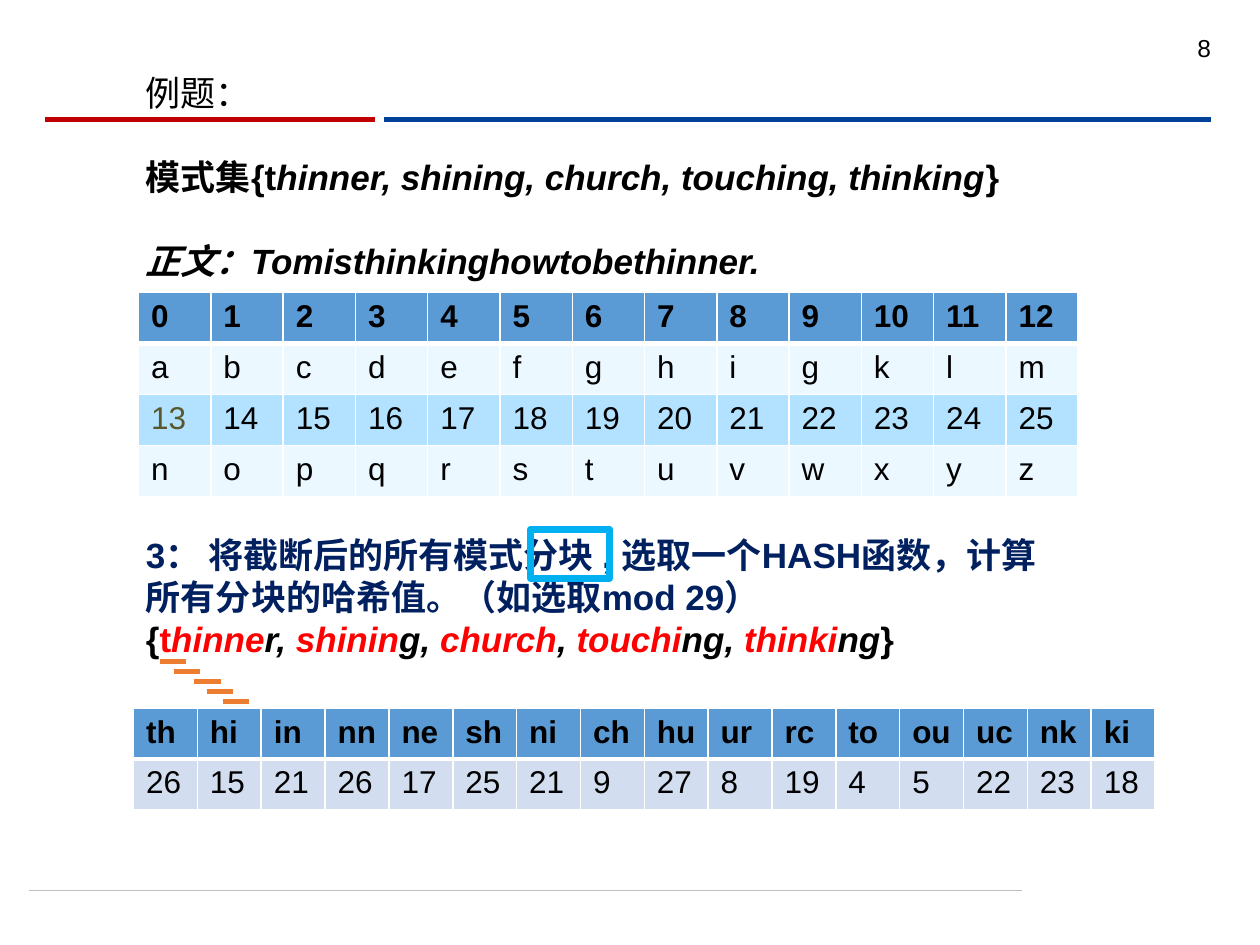
from lxml.etree import SubElement
from pptx import Presentation
from pptx.dml.color import RGBColor
from pptx.enum.shapes import MSO_CONNECTOR, MSO_SHAPE
from pptx.enum.text import PP_ALIGN
from pptx.oxml.ns import qn
from pptx.util import Inches, Pt

BLACK, WHITE, RED, NAVY = "000000", "FFFFFF", "FF0000", "002060"
HEAD, PALE, SKY, GREY = "5B9BD5", "ECF8FF", "B2E2FF", "D2DEEF"


def color(code):
    return RGBColor.from_string(code)


def write(par, text, size=20, ink=BLACK, bold=False, italic=False):
    run = par.add_run()
    run.text = text
    font = run.font
    font.name, font.size = "Arial", Pt(size)
    font.bold, font.italic = bold, italic
    font.color.rgb = color(ink)


def add_box(slide, x, y, w, h):
    frame = slide.shapes.add_textbox(
        Inches(x), Inches(y), Inches(w), Inches(h)).text_frame
    frame.word_wrap = True
    return frame


def add_par(frame, gap):
    """Add a paragraph on the 24 pt line grid, after a gap in points."""
    par = frame.add_paragraph()
    par.line_spacing = Pt(24)
    par.space_before = Pt(gap)
    return par


def add_line(slide, x1, x2, y, ink, width):
    line = slide.shapes.add_connector(
        MSO_CONNECTOR.STRAIGHT, Inches(x1), Inches(y), Inches(x2), Inches(y))
    line.line.color.rgb = color(ink)
    line.line.width = Pt(width)
    SubElement(line._element.spPr, qn("a:effectLst"))


def set_edges(cell, widths):
    """Draw white cell borders; the fill has to come after them."""
    props = cell._tc.get_or_add_tcPr()
    for side, width in zip(("lnL", "lnR", "lnT", "lnB"), widths):
        edge = SubElement(props, qn("a:" + side), w=str(Pt(width)))
        fill = SubElement(edge, qn("a:solidFill"))
        SubElement(fill, qn("a:srgbClr"), val=WHITE)


def add_grid(slide, x, y, w, h, rows, fills, inks={}):
    """Add a table with a bold first row; inks maps a text to its color."""
    grid = slide.shapes.add_table(
        len(rows), len(rows[0]), Inches(x), Inches(y), Inches(w), Inches(h)).table
    for r, (row, fill) in enumerate(zip(rows, fills)):
        for c, text in enumerate(row):
            cell = grid.cell(r, c)
            set_edges(cell, (1, 1, 3 if r == 1 else 1, 3 if r == 0 else 1))
            cell.fill.solid()
            cell.fill.fore_color.rgb = color(fill)
            write(cell.text_frame.paragraphs[0], text, size=18,
                  ink=inks.get(text, BLACK), bold=r == 0)


def add_body(slide):
    frame = add_box(slide, 1.06, 0.52, 7.5, 4.8)
    title = frame.paragraphs[0]
    title.line_spacing = Pt(24)
    write(title, "例题：")

    # Pattern set and text
    par = add_par(frame, 24)
    write(par, "模式集{t", bold=True)
    write(par, "hinner, shining, church, touching, thinking", bold=True, italic=True)
    write(par, "}", bold=True)
    write(add_par(frame, 24), "正文：Tomisthinkinghowtobethinner.",
          bold=True, italic=True)

    # Step 3, below the letter table
    write(add_par(frame, 144), "3： 将截断后的所有模式分块 , 选取一个HASH函数，"
          "计算所有分块的哈希值。（如选取mod 29）", ink=NAVY, bold=True)

    # Patterns with the kept part in red
    par = add_par(frame, 0)
    write(par, "{", bold=True)
    write(par, "t", ink=RED, bold=True)
    for kept, rest in (("hinne", "r, "), ("shinin", "g, "), ("church", ", "),
                       ("touchi", "ng, "), ("thinki", "ng")):
        write(par, kept, ink=RED, bold=True, italic=True)
        write(par, rest, bold=True, italic=True)
    write(par, "}", bold=True)


def main():
    deck = Presentation()
    deck.slide_width, deck.slide_height = Inches(10), Inches(7.5)
    slide = deck.slides.add_slide(deck.slide_layouts[6])

    # Rules and page number
    add_line(slide, 0.23, 8.11, 7.07, "BFBFBF", 0.5)
    add_line(slide, 3.05, 9.61, 0.95, "004299", 3)
    add_line(slide, 0.36, 2.98, 0.95, "C00000", 3)
    page = add_box(slide, 9.1, 0.21, 0.61, 0.52).paragraphs[0]
    page.alignment = PP_ALIGN.RIGHT
    write(page, "8", size=14)

    add_body(slide)

    # Letter codes
    codes = [str(n) for n in range(26)]
    add_grid(slide, 1.1, 2.32, 7.46, 1.62,
             [codes[:13], "abcdefghigklm", codes[13:], "nopqrstuvwxyz"],
             [HEAD, PALE, SKY, PALE], {"13": "59582D"})

    # Frame around the word for blocks
    mark = slide.shapes.add_shape(
        MSO_SHAPE.RECTANGLE, Inches(4.21), Inches(4.2), Inches(0.63), Inches(0.39))
    mark.shadow.inherit = False
    mark.fill.background()
    mark.line.color.rgb = color("00B0F0")
    mark.line.width = Pt(4)

    # Sliding two-letter blocks
    for i, x in enumerate((1.27, 1.38, 1.54, 1.64, 1.77)):
        add_line(slide, x, x + 0.21, 5.25 + 0.08 * i, "ED7D31", 2.75)

    # Hash values
    add_grid(slide, 1.06, 5.62, 8.11, 0.81,
             ["th hi in nn ne sh ni ch hu ur rc to ou uc nk ki".split(),
              "26 15 21 26 17 25 21 9 27 8 19 4 5 22 23 18".split()],
             [HEAD, GREY])

    deck.save("out.pptx")


if __name__ == "__main__":
    main()
